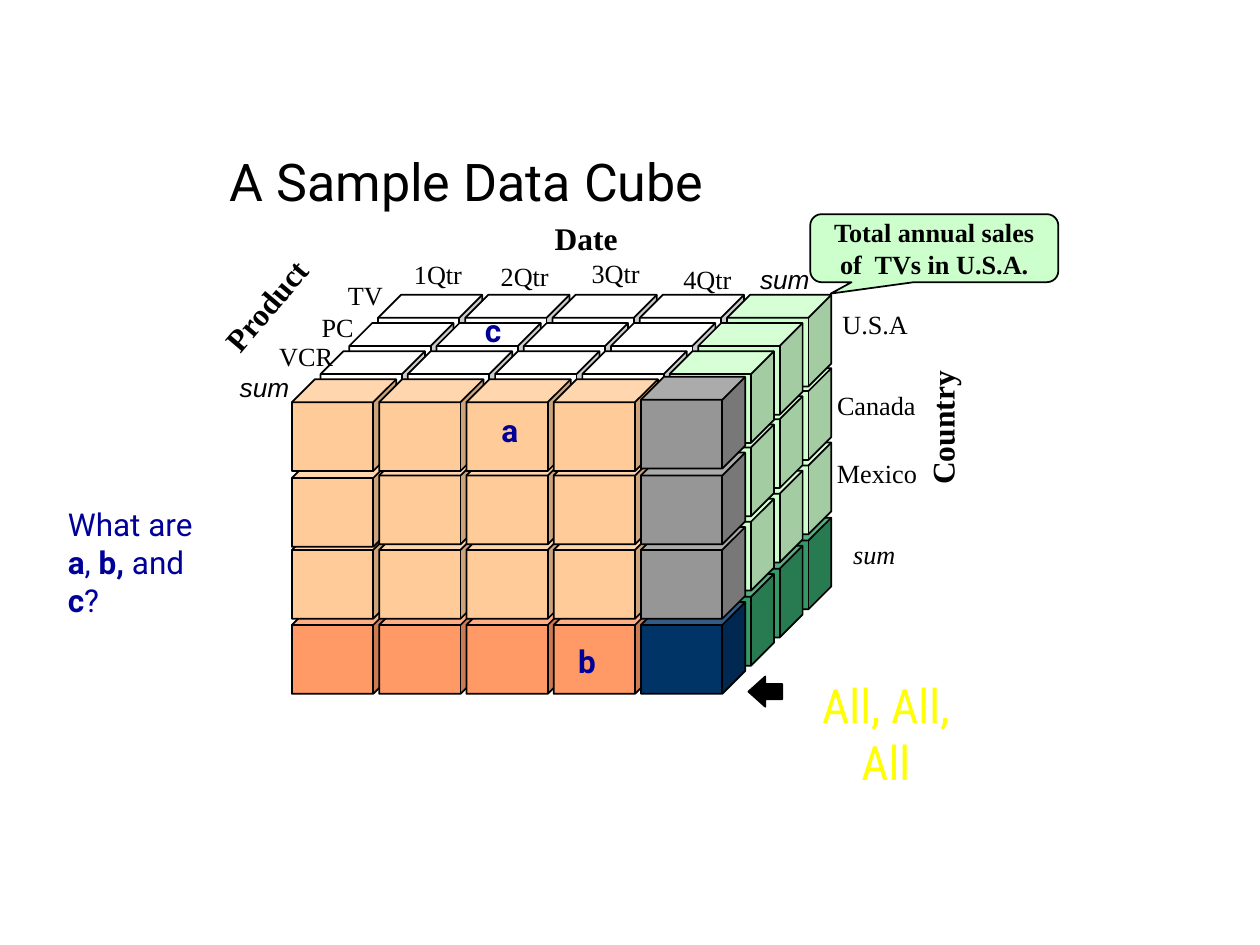
from pptx import Presentation
from pptx.dml.color import RGBColor
from pptx.enum.shapes import MSO_SHAPE
from pptx.enum.text import MSO_ANCHOR, MSO_AUTO_SIZE, PP_ALIGN
from pptx.util import Pt

COLORS = {
    "black": "000000", "white": "FFFFFF", "mint": "CCFFCC", "green": "339966",
    "peach": "FFCC99", "orange": "FF9966", "gray": "969696", "navy": "003366",
    "blue": "000099", "yellow": "FFFF00",
}
SERIF = "Times New Roman"
SANS = "Roboto"
WIDE, TIGHT = (7.2, 3.6), (5.2, 2.7)

# Cube lattice: 5 quarters wide, 4 countries high, 4 products deep
CUBE_W, CUBE_H = 59.6, 52.4
LEFT, COL_STEP = 216, 49.86
ROW_TOPS = (168.5, 210.4, 252.9, 295.8)
DEPTH_DX, DEPTH_DY = -16.4, 16.08
SUM_COL, SUM_ROW, SUM_DEPTH = 4, 3, 3
NUDGES = {(3, 0, 1): 1.4, (3, 4, 0): -1.4}


def rgb(name):
    return RGBColor.from_string(COLORS[name])


class Deck:
    def __init__(self):
        self.prs = Presentation()
        self.prs.slide_width, self.prs.slide_height = Pt(720), Pt(540)
        self.s = self.prs.slides.add_slide(self.prs.slide_layouts[5])

    def font(self, p, size, name=SERIF, color="black", bold=False, italic=False):
        p.font.size, p.font.name = Pt(size), name
        p.font.color.rgb = rgb(color)
        p.font.bold, p.font.italic = bold, italic

    def frame(self, sp, insets, wrap=False, anchor=MSO_ANCHOR.TOP):
        tf = sp.text_frame
        tf.margin_left = tf.margin_right = Pt(insets[0])
        tf.margin_top = tf.margin_bottom = Pt(insets[1])
        tf.word_wrap, tf.vertical_anchor = wrap, anchor
        return tf

    def title(self, text, x, y, w, h):
        sp = self.s.shapes.title
        sp.left, sp.top, sp.width, sp.height = Pt(x), Pt(y), Pt(w), Pt(h)
        tf = self.frame(sp, TIGHT, True, MSO_ANCHOR.MIDDLE)
        tf.auto_size = MSO_AUTO_SIZE.NONE
        tf.text = text
        p = tf.paragraphs[0]
        p.alignment, p.line_spacing = PP_ALIGN.LEFT, 0.9
        self.font(p, 29.7, SANS)

    def text(self, runs, x, y, w, h, size=15, align=PP_ALIGN.LEFT, insets=WIDE,
             wrap=False, rotation=0, **style):
        """Runs is a string, or a list of (text, bold) pairs."""
        sp = self.s.shapes.add_textbox(Pt(x), Pt(y), Pt(w), Pt(h))
        sp.rotation = rotation
        tf = self.frame(sp, insets, wrap)
        p = tf.paragraphs[0]
        p.alignment = align
        self.font(p, size, **style)
        if isinstance(runs, str):
            p.add_run().text = runs
            return
        for text, bold in runs:
            r = p.add_run()
            r.text, r.font.bold = text, bold

    def shape(self, kind, x, y, w, h, fill, adjustments):
        sp = self.s.shapes.add_shape(kind, Pt(x), Pt(y), Pt(w), Pt(h))
        sp.shadow.inherit = False
        for i, value in enumerate(adjustments):
            sp.adjustments[i] = value
        sp.fill.solid()
        sp.fill.fore_color.rgb = rgb(fill)
        sp.line.color.rgb = rgb("black")
        sp.line.width = Pt(1)
        return sp

    def callout(self, lines, x, y, w, h):
        sp = self.shape(MSO_SHAPE.ROUNDED_RECTANGULAR_CALLOUT, x, y, w, h,
                        "mint", (-0.417, 0.667, 0.167))
        tf = self.frame(sp, TIGHT, anchor=MSO_ANCHOR.MIDDLE)
        for i, line in enumerate(lines):
            p = tf.add_paragraph() if i else tf.paragraphs[0]
            p.text, p.alignment = line, PP_ALIGN.CENTER
            self.font(p, 15, bold=True)

    def cube(self, depth, col, row):
        x = LEFT + col * COL_STEP + depth * DEPTH_DX
        y = ROW_TOPS[row] + depth * DEPTH_DY + NUDGES.get((depth, col, row), 0)
        self.shape(MSO_SHAPE.CUBE, x, y, CUBE_W, CUBE_H,
                   cube_color(depth, col, row), (0.25,))


def cube_color(depth, col, row):
    """Colour tells which of the three dimensions are summed."""
    total = row == SUM_ROW
    if depth == SUM_DEPTH and col == SUM_COL:
        return "navy" if total else "gray"
    if depth == SUM_DEPTH:
        return "orange" if total else "peach"
    if col == SUM_COL:
        return "green" if total else "mint"
    return "white"


def main():
    d = Deck()
    d.title("A Sample Data Cube", 126, 88.6, 463.7, 33.8)
    d.callout(("Total annual sales", "of  TVs in U.S.A."), 463, 122.4, 141.8, 38.9)

    axes = (("Date", 311.8, 122.4, 46.8, 0),
            ("Product", 115.9, 160.6, 72.7, 310.3),
            ("Country", 500.4, 230.4, 76.3, 270))
    for name, x, y, w, rotation in axes:
        d.text(name, x, y, w, 27.4, 18, insets=TIGHT, rotation=rotation, bold=True)

    d.text("All, All, All", 460.1, 383, 92.2, 27.4, 27, PP_ALIGN.CENTER,
           name="Roboto Condensed", color="yellow")
    d.shape(MSO_SHAPE.LEFT_ARROW, 427.7, 386.6, 19.4, 17.3, "black", (0.5, 0.559))

    for depth in range(SUM_DEPTH + 1):
        for col in range(SUM_COL + 1):
            # Inner cubes under the top layer are hidden, so they are skipped
            outer = depth == SUM_DEPTH or col == SUM_COL
            for row in range(SUM_ROW if outer else 0, -1, -1):
                d.cube(depth, col, row)

    for x, y in ((131.8, 209.5), (429.1, 147.6)):
        d.text("sum", x, y, 39.6, 23.8, insets=TIGHT, name="Arial", italic=True)

    members = (("TV", 191.5, 156.2, 34.6), ("VCR", 151.9, 190.8, 46.1),
               ("PC", 176.4, 174.2, 33.1), ("1Qtr", 229, 144, 42.5),
               ("2Qtr", 278.6, 145.4, 42.5), ("3Qtr", 330.5, 143.3, 42.5),
               ("4Qtr", 383, 146.9, 42.5), ("U.S.A", 473.8, 172.8, 52.6),
               ("Canada", 470.9, 218.9, 59.8), ("Mexico", 470.9, 257.8, 60.5),
               ("sum", 480.2, 303.8, 38.9))
    for name, x, y, w in members:
        d.text(name, x, y, w, 25.2, align=PP_ALIGN.CENTER, italic=name == "sum")

    quiz = {"name": SANS, "color": "blue"}
    for letter, x, y in (("a", 279.4, 231.1), ("b", 323.3, 363.6), ("c", 270, 174.2)):
        d.text(letter, x, y, 25, 28.8, 18, bold=True, **quiz)
    question = [("What are ", False), ("a", True), (", ", False), ("b, ", True),
                ("and", False), (" c", True), ("?", False)]
    d.text(question, 31.7, 285.1, 86.4, 72.7, 18, wrap=True, **quiz)

    d.prs.save("out.pptx")


if __name__ == "__main__":
    main()
